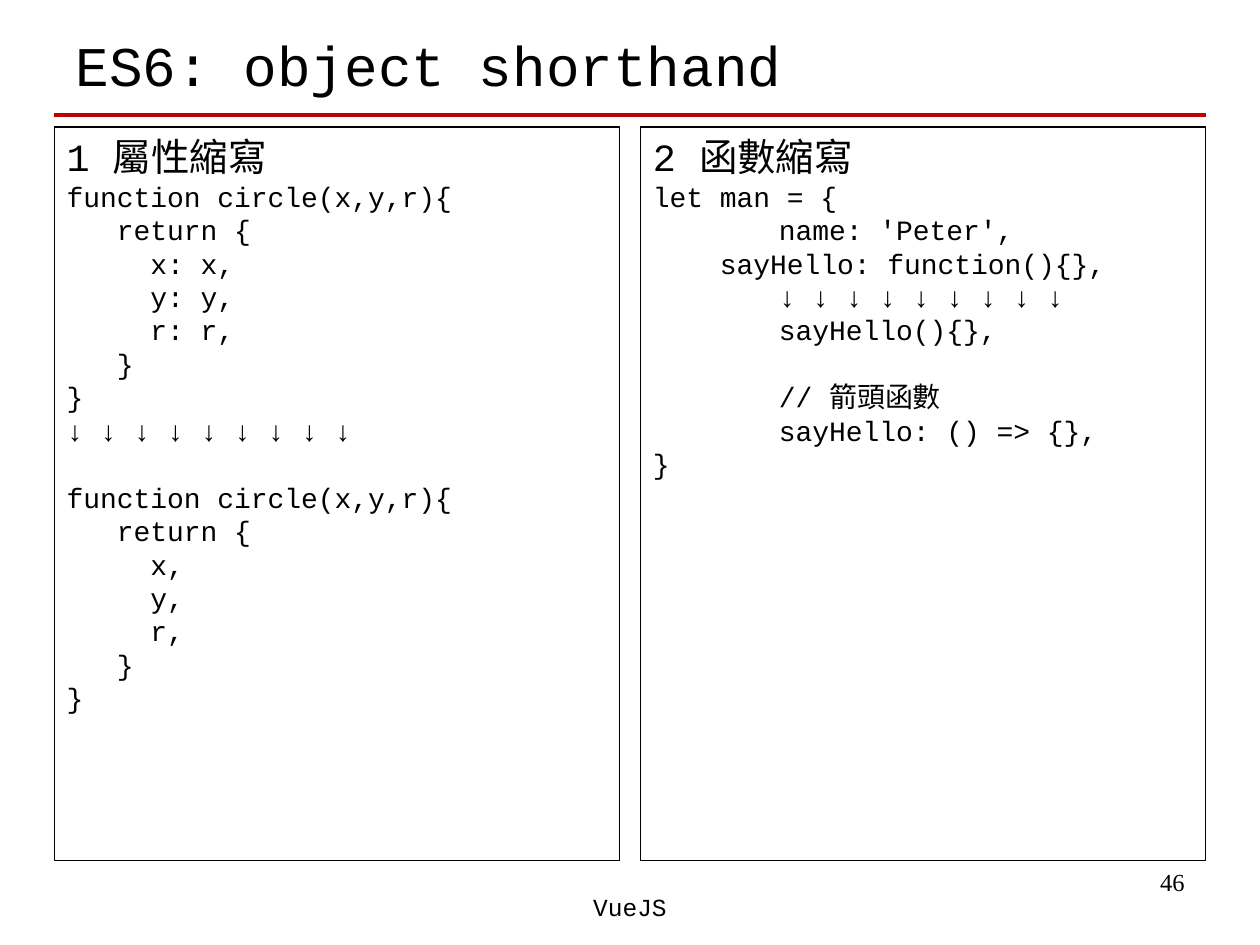
from lxml import etree
from pptx import Presentation
from pptx import util as u
from pptx.dml.color import RGBColor
from pptx.enum import shapes, text
from pptx.oxml.ns import qn

Pt = u.Pt
THEME = {
    "ink": RGBColor(0, 0, 0), "rule": RGBColor(0xC0, 0, 0),
    "mono": "Courier New", "serif": "Times New Roman",
    "title": 32, "head": 22, "code": 16, "foot": 14, "pitch": 19.1, "tab": 72,
}
ARROWS = "↓ ↓ ↓ ↓ ↓ ↓ ↓ ↓ ↓"
TITLE = "ES6: object shorthand"

# Each panel: heading, then (code, gap in lines before it)
PANELS = [
    ("1 屬性縮寫", [
        ("function circle(x,y,r){\n   return {\n     x: x,\n     y: y,\n"
         "     r: r,\n   }\n}\n" + ARROWS, 0),
        ("function circle(x,y,r){\n   return {\n     x,\n     y,\n"
         "     r,\n   }\n}", 1),
    ]),
    ("2 函數縮寫", [
        ("let man = {\n\tname: 'Peter',", 0),
        ("    sayHello: function(){},", 0),
        ("\t" + ARROWS, 0),
        ("\tsayHello(){},", 0),
        ("\t// 箭頭函數", 1),
        ("\tsayHello: () => {},", 0),
        ("}", 0),
    ]),
]
# Text, box, size, font, alignment
NOTES = [
    ("46", (516, 492, 168, 37.5), "foot", "serif", text.PP_ALIGN.RIGHT),
    ("VueJS", (246, 506, 228, 36), "foot", "mono", text.PP_ALIGN.CENTER),
]
WIDE, EDGE, GAP = 720, 31, 12
TOP, TALL = 72.6, 419


def place(shape, box):
    for name, value in zip(("left", "top", "width", "height"), box):
        setattr(shape, name, Pt(value))


def write(para, words, size, font="mono", align=text.PP_ALIGN.LEFT):
    para.text = words
    para.alignment = align
    look = {"name": THEME[font], "size": Pt(THEME[size])}
    for piece in (para, *para.runs):
        for key, value in look.items():
            setattr(piece.font, key, value)
        piece.font.color.rgb = THEME["ink"]


def set_tab(para):
    props = para._p.get_or_add_pPr()
    stops = etree.SubElement(props, qn("a:tabLst"))
    etree.SubElement(stops, qn("a:tab"), pos=str(Pt(THEME["tab"])), algn="l")


def frame(shape, anchor):
    body = shape.text_frame
    body.word_wrap = True
    body.auto_size = text.MSO_AUTO_SIZE.NONE
    body.vertical_anchor = anchor
    return body


def panel(slide, box, head, blocks):
    rect = slide.shapes.add_shape(shapes.MSO_SHAPE.RECTANGLE,
                                  *(Pt(v) for v in box))
    rect.shadow.inherit = False
    rect.fill.background()
    rect.line.color.rgb = THEME["ink"]
    rect.line.width = Pt(0.75)
    body = frame(rect, text.MSO_ANCHOR.TOP)
    write(body.paragraphs[0], head, "head")
    for code, gap in blocks:
        para = body.add_paragraph()
        if "\t" in code:
            set_tab(para)
        para.line_spacing = Pt(THEME["pitch"])
        if gap:
            para.space_before = Pt(gap * THEME["pitch"])
        write(para, code, "code")


def main():
    deck = Presentation()
    deck.slide_width, deck.slide_height = Pt(WIDE), Pt(540)
    slide = deck.slides.add_slide(deck.slide_layouts[5])

    title = slide.shapes.title
    place(title, (36, 9.4, 648, 54.7))
    write(frame(title, text.MSO_ANCHOR.MIDDLE).paragraphs[0], TITLE, "title")

    rule = slide.shapes.add_connector(
        shapes.MSO_CONNECTOR.STRAIGHT,
        Pt(EDGE), Pt(65.5), Pt(WIDE - EDGE), Pt(65.5))
    rule.line.color.rgb = THEME["rule"]
    rule.line.width = Pt(2.25)
    etree.SubElement(rule._element.spPr, qn("a:effectLst"))

    wide = (WIDE - 2 * EDGE - GAP) / 2
    for i, (head, blocks) in enumerate(PANELS):
        box = (EDGE + i * (wide + GAP), TOP, wide, TALL)
        panel(slide, box, head, blocks)

    for words, box, size, font, align in NOTES:
        note = slide.shapes.add_textbox(*(Pt(v) for v in box))
        body = frame(note, text.MSO_ANCHOR.TOP)
        write(body.paragraphs[0], words, size, font, align)

    deck.save("out.pptx")


if __name__ == "__main__":
    main()
